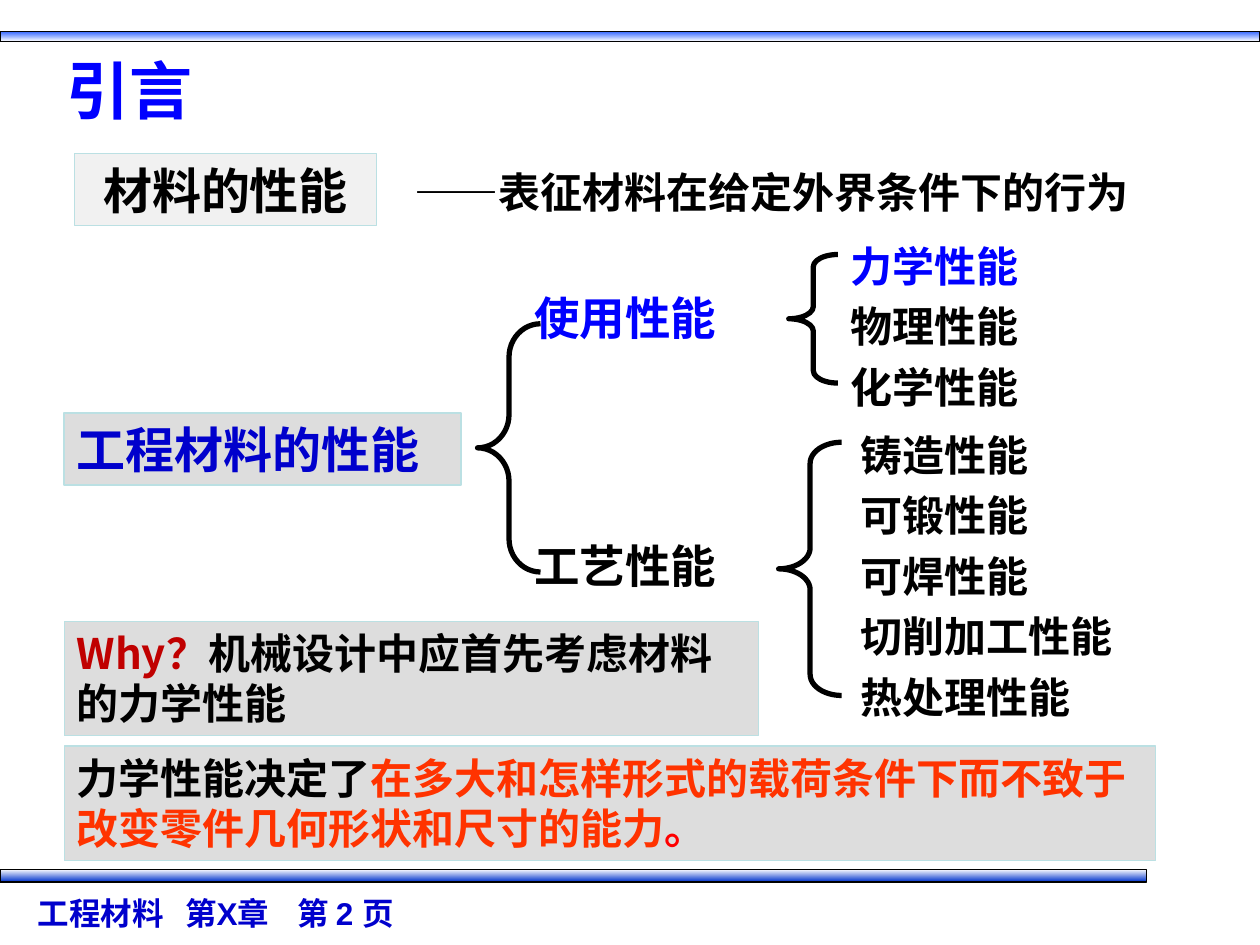
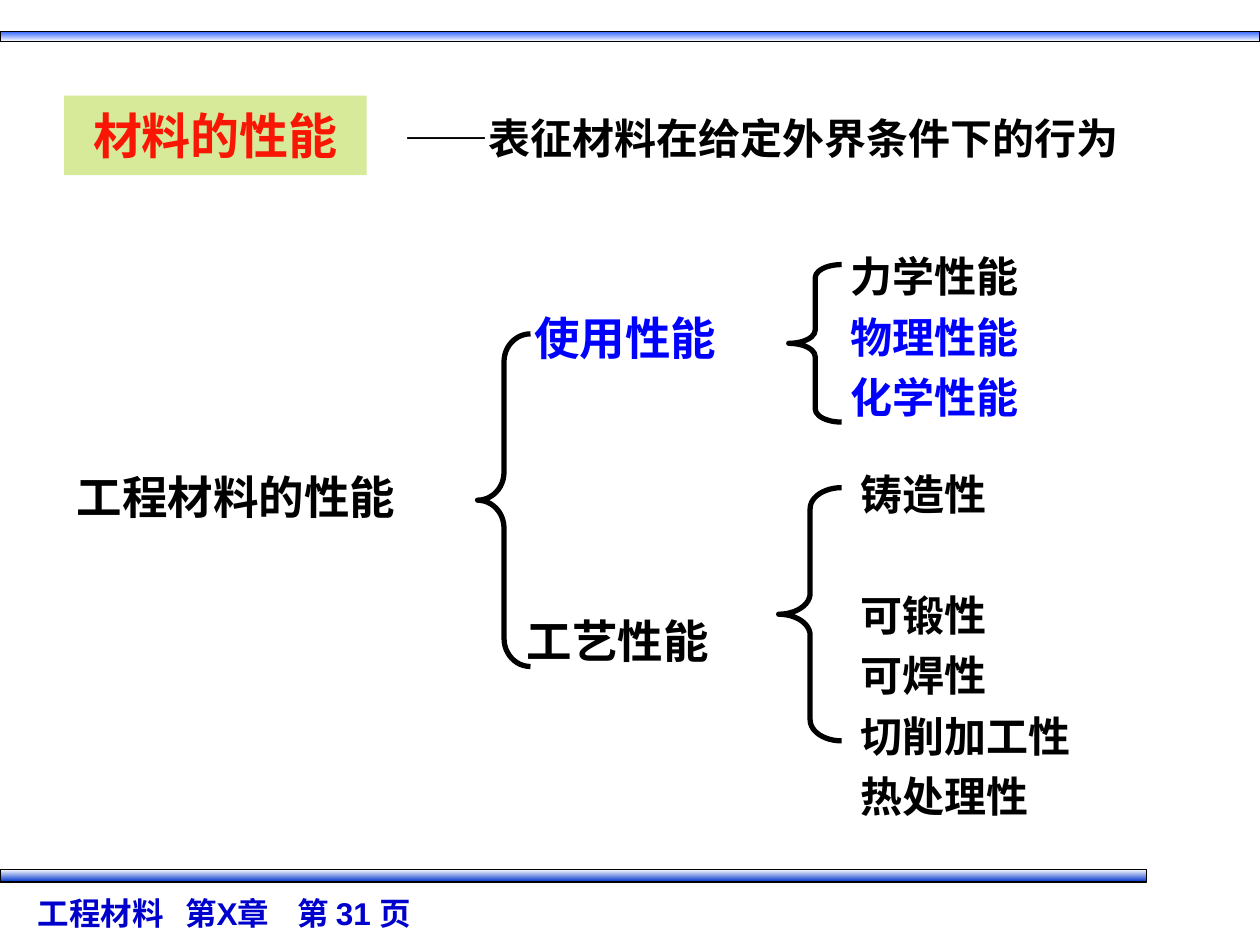
import dataclasses

import pptx
import pptx.dml.color
import pptx.enum.shapes
import pptx.enum.text
import pptx.oxml
import pptx.oxml.ns
import pptx.util

SCALE = 9144  # EMU in one px, at 100 px to the inch


@dataclasses.dataclass(frozen=True)
class Theme:
    black: str = "000000"
    white: str = "FFFFFF"
    blue: str = "0000FF"
    navy: str = "0000CC"
    band_top: str = "3366FF"
    band_bottom: str = "0033CC"
    grey: str = "DDDDDD"
    green: str = "99CC00"
    pale_edge: str = "BBE0E3"
    dark_red: str = "C00000"
    orange: str = "FF3300"
    red: str = "FF0000"
    bright_red: str = "F91605"
    latin: str = "Arial"
    chinese: str = "Noto Sans CJK SC"
    title: int = 36
    heading: int = 28
    branch: int = 26
    body: int = 24
    footer: int = 18


THEME = Theme()
SHAPE = pptx.enum.shapes.MSO_SHAPE
ALIGN = pptx.enum.text.PP_ALIGN
ANCHOR = pptx.enum.text.MSO_ANCHOR
rgb = pptx.dml.color.RGBColor.from_string


def add_outline(slide, kind, at, fill=None, line=None, width=0.75, alpha=None):
    """Add a shadowless preset shape; fill is one colour, or a (top, bottom) pair."""
    shape = slide.shapes.add_shape(kind, *(value * SCALE for value in at))
    shape.shadow.inherit = False
    if fill is None:
        shape.fill.background()
    elif isinstance(fill, tuple):
        shape.fill.gradient()
        shape.fill.gradient_angle = 270
        for stop, colour, position in zip(shape.fill.gradient_stops, fill, (0, 1)):
            stop.color.rgb = rgb(colour)
            stop.position = position
    else:
        shape.fill.solid()
        shape.fill.fore_color.rgb = rgb(fill)
        if alpha:
            colour = shape.fill._xPr.find(".//" + pptx.oxml.ns.qn("a:srgbClr"))
            colour.append(pptx.oxml.parse_xml(
                f'<a:alpha {pptx.oxml.ns.nsdecls("a")} val="{alpha * 1000}"/>'))
    if line:
        shape.line.color.rgb = rgb(line)
        shape.line.width = pptx.util.Pt(width)
    else:
        shape.line.fill.background()
    return shape


def write(shape, paragraphs, size, font=THEME.chinese, anchor=ANCHOR.TOP,
          align=ALIGN.LEFT, spacing=1.0):
    """Fill a shape with paragraphs, each a list of (text, colour) runs."""
    frame = shape.text_frame
    frame.word_wrap = True
    frame.vertical_anchor = anchor
    for index, runs in enumerate(paragraphs):
        paragraph = frame.add_paragraph() if index else frame.paragraphs[0]
        paragraph.alignment = align
        paragraph.line_spacing = spacing
        for text, colour in runs:
            run = paragraph.add_run()
            run.text = text
            run.font.color.rgb = rgb(colour)
            values = {"name": font, "size": pptx.util.Pt(size), "bold": True}
            for name, value in values.items():
                setattr(run.font, name, value)
            run.font._element.find(pptx.oxml.ns.qn("a:latin")).addnext(
                pptx.oxml.parse_xml(f'<a:ea {pptx.oxml.ns.nsdecls("a")} '
                                    f'typeface="{THEME.chinese}"/>'))
    return frame


presentation = pptx.Presentation()
presentation.slide_width = 1000 * SCALE
presentation.slide_height = 750 * SCALE

bands = [
    ((0, 25, 1000, 8), (THEME.band_top, THEME.white)),
    ((0, 690, 910, 10), (THEME.white, THEME.band_bottom)),
]
footer_tabs = (117, 206)

pages = [
    {
        "number": 2,
        "term": (59, 122, 240, 57),
        "term_fill": THEME.grey,
        "term_line": THEME.pale_edge,
        "term_colour": THEME.black,
        "definition": (319, 127, 622, 50),
        "branches": [
            (" 使用性能", (406, 225, 218, 53), THEME.blue),
            (" 工艺性能", (406, 422, 210, 53), THEME.black),
        ],
        "service_at": (665, 178, 257, 154),
        "service_colours": (THEME.blue, THEME.black, THEME.black),
        "process_at": (673, 328, 250, 283),
        "process": ("铸造性能", "可锻性能", "可焊性能", "切削加工性能", "热处理性能"),
        "gap_after_first": 0,
        "braces": [
            ((626, 202, 39, 102), 0.25),
            ((618, 351, 50, 201), 0.334),
            ((379, 257, 50, 197), 0.528),
        ],
    },
    {
        "number": 31,
        "term": (51, 76, 240, 63),
        "term_fill": THEME.green,
        "term_line": None,
        "term_colour": THEME.bright_red,
        "definition": (311, 84, 622, 50),
        "branches": [
            ("工程材料的性能", (51, 367, 338, 53), THEME.black),
            (" 使用性能", (406, 241, 218, 53), THEME.blue),
            (" 工艺性能", (400, 482, 210, 53), THEME.black),
        ],
        "service_at": (665, 186, 257, 154),
        "service_colours": (THEME.black, THEME.blue, THEME.blue),
        "process_at": (673, 359, 250, 283),
        "process": ("铸造性", "可锻性", "可焊性", "切削加工性", "热处理性"),
        "gap_after_first": 34.5,
        "braces": [
            ((626, 210, 42, 125), 0.25),
            ((618, 387, 50, 201), 0.334),
            ((379, 265, 42, 264), 0.528),
        ],
    },
]

for page in pages:
    slide = presentation.slides.add_slide(presentation.slide_layouts[6])

    # Bands and footer
    for at, colours in bands:
        add_outline(slide, SHAPE.RECTANGLE, at, colours, THEME.black)
    footer = add_outline(slide, SHAPE.RECTANGLE, (20, 705, 638, 40))
    stops = "".join(f'<a:tab pos="{stop * SCALE}" algn="l"/>' for stop in footer_tabs)
    footer.text_frame.paragraphs[0]._p.get_or_add_pPr().append(pptx.oxml.parse_xml(
        f'<a:tabLst {pptx.oxml.ns.nsdecls("a")}>{stops}</a:tabLst>'))
    write(footer, [[(f"工程材料\t第X章\t第 {page['number']} 页", THEME.navy)]],
          THEME.footer, THEME.latin)

    # Term and its definition
    term = add_outline(slide, SHAPE.ACTION_BUTTON_CUSTOM, page["term"],
                       page["term_fill"], page["term_line"], alpha=40)
    write(term, [[("材料的性能", page["term_colour"])]], THEME.heading, THEME.latin,
          ANCHOR.MIDDLE, ALIGN.CENTER)
    definition = slide.shapes.add_textbox(*(value * SCALE for value in page["definition"]))
    write(definition, [[("——表征材料在给定外界条件下的行为", THEME.black)]],
          THEME.body, THEME.latin, ANCHOR.MIDDLE)

    # Tree of properties
    for text, at, colour in page["branches"]:
        branch = slide.shapes.add_textbox(*(value * SCALE for value in at))
        write(branch, [[(text, colour)]], THEME.branch)
    service = slide.shapes.add_textbox(*(value * SCALE for value in page["service_at"]))
    service_names = ("力学性能", "物理性能", "化学性能")
    write(service, [[pair] for pair in zip(service_names, page["service_colours"])],
          THEME.body, spacing=1.2)
    process = slide.shapes.add_textbox(*(value * SCALE for value in page["process_at"]))
    frame = write(process, [[(name, THEME.black)] for name in page["process"]],
                  THEME.body, spacing=1.2)
    frame.paragraphs[0].space_after = pptx.util.Pt(page["gap_after_first"])
    for at, curl in page["braces"]:
        brace = add_outline(slide, SHAPE.LEFT_BRACE, at, line=THEME.black, width=3)
        brace.adjustments[0] = curl
        brace.adjustments[1] = 0.5

# Title and grey statements of the introduction
introduction = presentation.slides[0]
title = introduction.shapes.add_textbox(*(value * SCALE for value in (43, 36, 598, 70)))
write(title, [[("引言", THEME.blue)]], THEME.title, anchor=ANCHOR.MIDDLE)

statements = [
    ((51, 328, 315, 57), 1, THEME.heading, [("工程材料的性能", THEME.navy)]),
    ((51, 493, 551, 91), 0.75, THEME.body, [
        ("Why？", THEME.dark_red),
        ("机械设计中应首先考虑材料的力学性能", THEME.black),
    ]),
    ((51, 592, 866, 91), 0.75, THEME.body, [
        ("力学性能决定了", THEME.black),
        ("在多大和怎样形式的载荷条件下而不致于改变零件几何形状和尺寸的能力", THEME.orange),
        ("。", THEME.red),
    ]),
]
for at, width, size, runs in statements:
    statement = add_outline(introduction, SHAPE.RECTANGLE, at, THEME.grey,
                            THEME.pale_edge, width)
    write(statement, [runs], size)

presentation.save("out.pptx")
